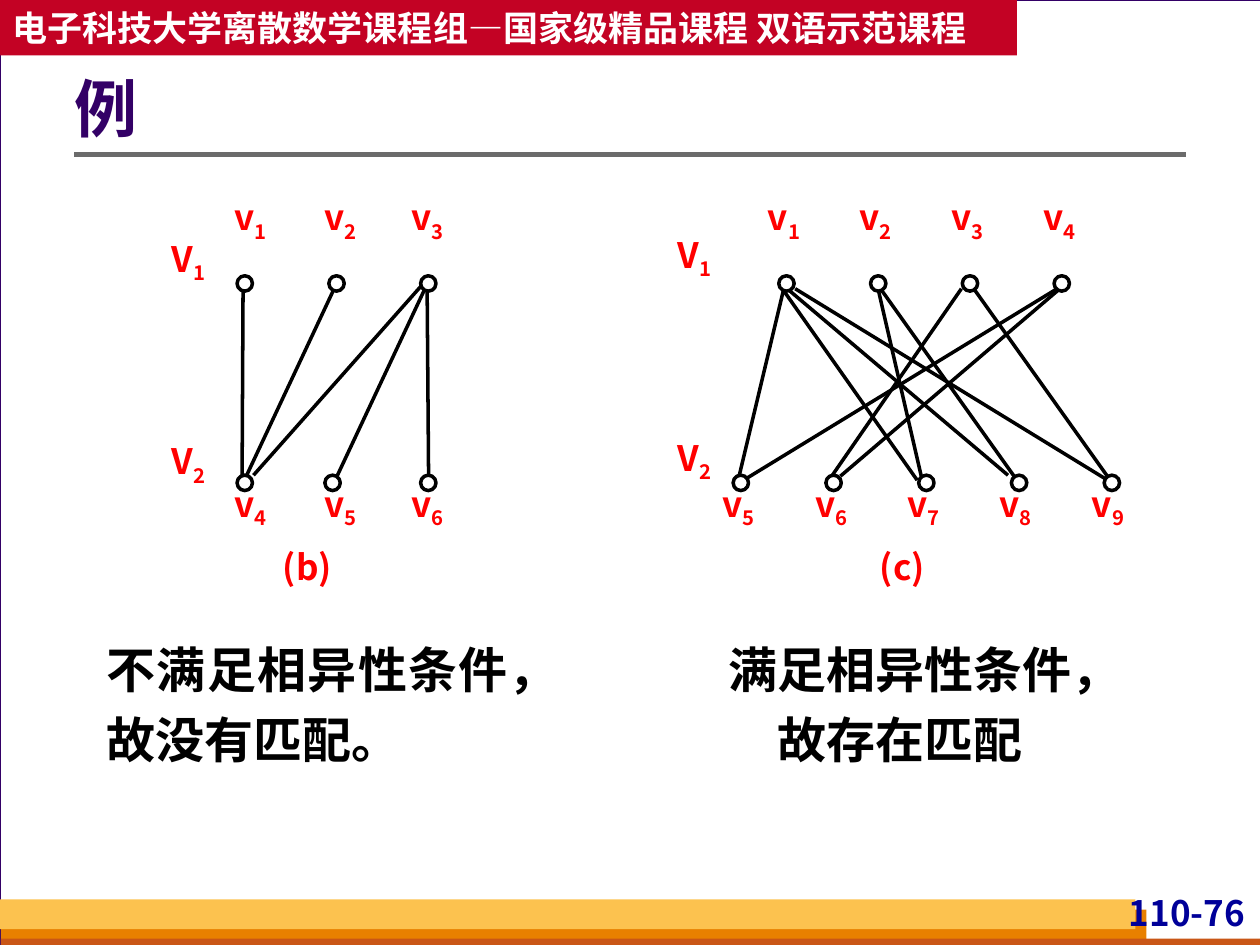
from dataclasses import dataclass

from lxml import etree
from pptx import Presentation
from pptx.dml.color import RGBColor
from pptx.enum.shapes import MSO_CONNECTOR, MSO_SHAPE
from pptx.enum.text import MSO_ANCHOR, PP_ALIGN
from pptx.oxml.ns import qn
from pptx.util import Cm, Pt

RECT, OVAL = MSO_SHAPE.RECTANGLE, MSO_SHAPE.OVAL
STRAIGHT = MSO_CONNECTOR.STRAIGHT
TOP, MIDDLE = MSO_ANCHOR.TOP, MSO_ANCHOR.MIDDLE
LEFT, CENTER = PP_ALIGN.LEFT, PP_ALIGN.CENTER
RIGHT, JUSTIFY = PP_ALIGN.RIGHT, PP_ALIGN.JUSTIFY

FONT = "Noto Sans CJK SC"
BLACK = RGBColor(0x00, 0x00, 0x00)
WHITE = RGBColor(0xFF, 0xFF, 0xFF)
GRAY = RGBColor(0xD8, 0xDA, 0xDA)
RULE_GRAY = RGBColor(0x6B, 0x6B, 0x6B)
PURPLE = RGBColor(0x33, 0x00, 0x66)
NAVY = RGBColor(0x00, 0x00, 0x99)
RED = RGBColor(0xFF, 0x00, 0x00)
CRIMSON = RGBColor(0xC3, 0x02, 0x24)
ORANGE = RGBColor(0xE8, 0x80, 0x00)
RUST = RGBColor(0xC9, 0x56, 0x16)
YELLOW = RGBColor(0xFC, 0xC2, 0x4F)

# Vertical layout of both graphs, in cm
TOP_NODE_Y, BOTTOM_NODE_Y, NODE_SIZE = 5.56, 9.58, 0.31
TOP_LABEL_Y, BOTTOM_LABEL_Y = 3.94, 9.72
LABEL_W, LABEL_H = 1.19, 0.97
EDGE_DROP, SET_DROP = 3.86, 4.09
CAPTION_Y = 11.0
NO_INSETS = (0, 0, 0, 0)
BOX_INSETS = (0.25, 0.13, 0.25, 0.13)


@dataclass(frozen=True)
class Edge:
    x_top: float
    x_bottom: float
    y: float


@dataclass(frozen=True)
class Graph:
    caption: str
    caption_x: float
    set_x: float
    set_y: float
    top_nodes: list[float]
    bottom_nodes: list[float]
    top_labels: list[float]
    bottom_labels: list[float]
    edges: list[Edge]


def evenly(start: float, step: float, count: int) -> list[float]:
    return [start + step * i for i in range(count)]


GRAPHS = [
    Graph("(b)", 5.31, 3.2, 4.78,
          evenly(4.78, 1.85, 3), [4.78, 6.55, 8.48],
          [4.45, 6.27, 8.03], [4.45, 6.27, 8.03],
          [Edge(8.61, 8.64, 5.77), Edge(4.9, 4.88, 5.77), Edge(6.76, 4.95, 5.77),
           Edge(8.53, 5.11, 5.72), Edge(8.59, 6.78, 5.77)]),
    Graph("(c)", 17.3, 13.41, 4.7,
          evenly(15.7, 1.85, 4), evenly(14.78, 1.87, 5),
          evenly(15.21, 1.85, 4), evenly(14.3, 1.86, 5),
          [Edge(17.7, 18.59, 5.82), Edge(19.63, 22.38, 5.82), Edge(15.77, 18.49, 5.82),
           Edge(15.8, 14.88, 5.82), Edge(16.03, 22.33, 5.82), Edge(15.75, 20.32, 5.72),
           Edge(19.38, 16.71, 5.82), Edge(17.75, 20.5, 5.82), Edge(21.46, 16.94, 5.74),
           Edge(21.31, 14.99, 5.82)]),
]


def add_shape(s, kind, x: float, y: float, w: float, h: float, fill: RGBColor,
              line: RGBColor | None = None, width: float = 0.75):
    sp = s.shapes.add_shape(kind, Cm(x), Cm(y), Cm(w), Cm(h))
    sp.shadow.inherit = False
    sp.fill.solid()
    sp.fill.fore_color.rgb = fill
    if line is None:
        sp.line.fill.background()
    else:
        sp.line.color.rgb = line
        sp.line.width = Pt(width)
    return sp


def add_line(s, x1: float, y1: float, x2: float, y2: float,
             color: RGBColor = BLACK, width: float = 2) -> None:
    line = s.shapes.add_connector(STRAIGHT, Cm(x1), Cm(y1), Cm(x2), Cm(y2))
    line.line.color.rgb = color
    line.line.width = Pt(width)
    etree.SubElement(line._element.spPr, qn("a:effectLst"))


def write_text(sp, text: str, *, sub: str = "", size: float = 20, color: RGBColor = RED,
               align=CENTER, anchor=TOP, insets=NO_INSETS, spacing: float = 1.0) -> None:
    """Fill a shape with one bold paragraph, with an optional subscript."""
    tf = sp.text_frame
    tf.word_wrap = True
    tf.vertical_anchor = anchor
    tf.margin_left, tf.margin_top, tf.margin_right, tf.margin_bottom = map(Cm, insets)
    p = tf.paragraphs[0]
    p.alignment = align
    p.line_spacing = spacing
    for part in filter(None, (text, sub)):
        r = p.add_run()
        r.text = part
        r.font.size = Pt(size)
        r.font.bold = True
        r.font.color.rgb = color
        r.font.name = FONT
        rPr = r._r.get_or_add_rPr()
        etree.SubElement(rPr, qn("a:ea"), typeface=FONT)
    if sub:
        rPr.set("baseline", "-25000")


def add_text(s, text: str, x: float, y: float, w: float, h: float, **fmt) -> None:
    write_text(s.shapes.add_textbox(Cm(x), Cm(y), Cm(w), Cm(h)), text, **fmt)


def add_label(s, letter: str, index: int, x: float, y: float) -> None:
    add_text(s, letter, x, y, LABEL_W, LABEL_H, sub=str(index))


def draw_frame(s) -> None:
    """Background, footer bands, page number, header and title rule."""
    s.background.fill.solid()
    s.background.fill.fore_color.rgb = GRAY
    add_shape(s, RECT, 0, 0, 25.42, 19.05, WHITE, PURPLE)
    add_shape(s, RECT, 0.02, 18.34, 23.09, 0.71, ORANGE)
    add_shape(s, RECT, 0.02, 18.92, 25.4, 0.2, RUST)
    add_shape(s, RECT, 0, 18.13, 22.89, 0.6, YELLOW)
    add_text(s, "110-76", 22.1, 17.98, 3.1, 0.97, color=NAVY, align=RIGHT,
             insets=(0.1, 0, 0.1, 0))
    add_line(s, 1.5, 3.12, 23.9, 3.12, RULE_GRAY, 3)
    header = add_shape(s, RECT, 0, 0, 20.5, 1.12, CRIMSON)
    write_text(header, "电子科技大学离散数学课程组—国家级精品课程 双语示范课程",
               color=WHITE, align=LEFT, anchor=MIDDLE, insets=BOX_INSETS)


def draw_graph(s, graph: Graph) -> None:
    for edge in graph.edges:
        add_line(s, edge.x_top, edge.y, edge.x_bottom, edge.y + EDGE_DROP)
    for xs, y in ((graph.top_nodes, TOP_NODE_Y), (graph.bottom_nodes, BOTTOM_NODE_Y)):
        for x in xs:
            add_shape(s, OVAL, x, y, NODE_SIZE, NODE_SIZE, WHITE, BLACK, 2)
    places = ([(x, TOP_LABEL_Y) for x in graph.top_labels]
              + [(x, BOTTOM_LABEL_Y) for x in graph.bottom_labels])
    for i, (x, y) in enumerate(places, start=1):
        add_label(s, "v", i, x, y)
    for i in (1, 2):
        add_label(s, "V", i, graph.set_x, graph.set_y + SET_DROP * (i - 1))
    add_text(s, graph.caption, graph.caption_x, CAPTION_Y, 1.78, 0.84)


def main() -> None:
    prs = Presentation()
    prs.slide_width, prs.slide_height = Cm(25.4), Cm(19.05)
    s = prs.slides.add_slide(prs.slide_layouts[6])
    draw_frame(s)
    add_text(s, "例", 1.5, 0.97, 22.4, 2.57, size=36, color=PURPLE, align=LEFT,
             anchor=MIDDLE, insets=(0, 0.13, 0.25, 0.13), spacing=0.9)
    for graph in GRAPHS:
        draw_graph(s, graph)
    conclusion = dict(size=28, color=BLACK, insets=BOX_INSETS, spacing=1.2)
    add_text(s, "不满足相异性条件，故没有匹配。", 1.9, 12.52, 8.61, 3.1,
             align=JUSTIFY, **conclusion)
    add_text(s, "满足相异性条件，故存在匹配", 14.35, 12.52, 7.59, 3.1, **conclusion)
    prs.save("out.pptx")


if __name__ == "__main__":
    main()
